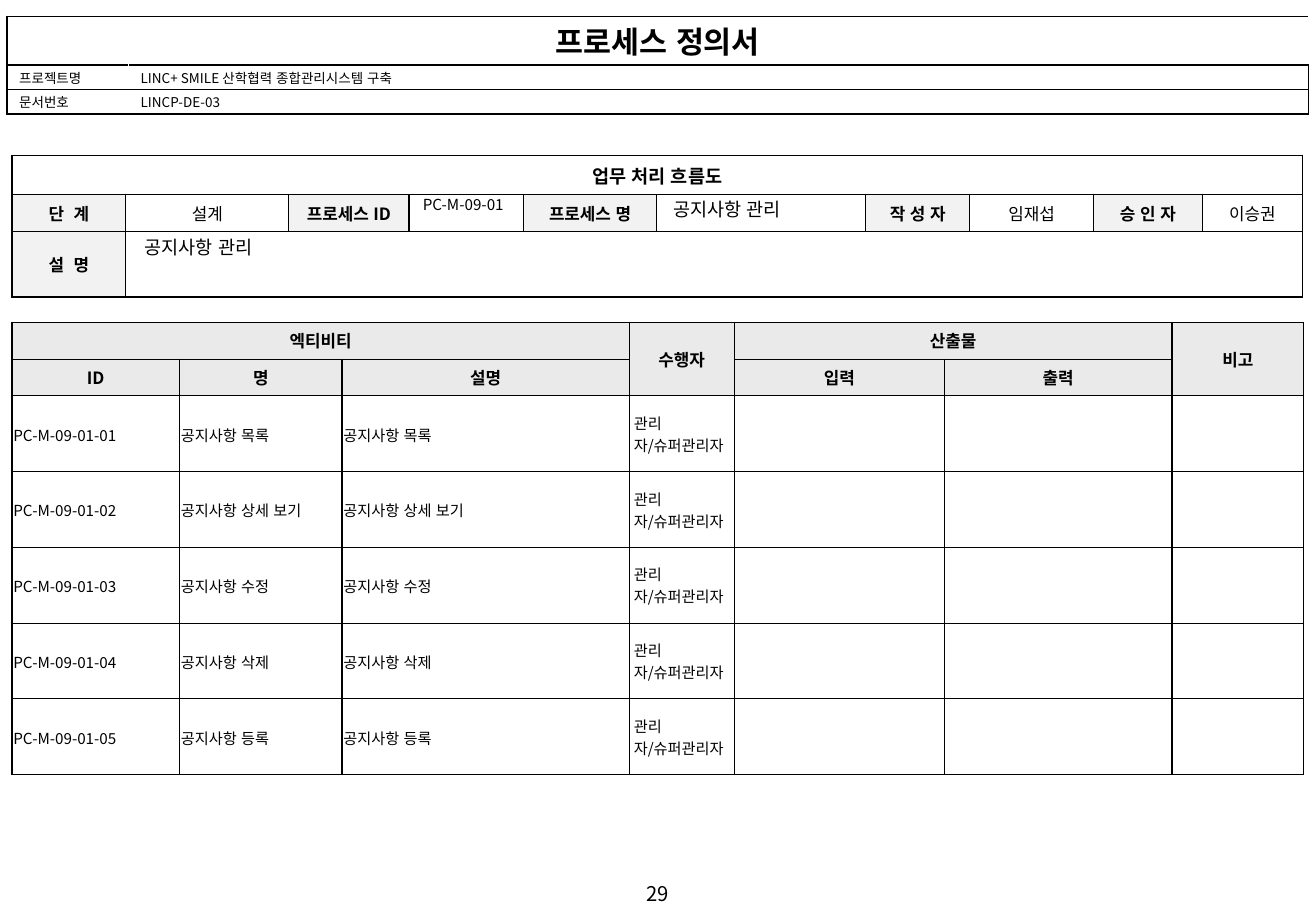
from lxml import etree
from pptx import Presentation
from pptx.dml.color import RGBColor as Rgb
from pptx.enum.text import MSO_ANCHOR as Anchor, PP_ALIGN as Align
from pptx.oxml.ns import qn
from pptx.util import Cm, Pt

FONT = "Noto Sans CJK KR"
COLORS = {"ink": "000000", "paper": "FFFFFF", "label": "F2F2F2", "header": "EAEAEA"}
INSET = (0.25, 0.13, 0.25, 0.13)

STYLES = {
    "title": {"size": 18, "bold": True, "fill": "paper", "inset": (0.25, 0.05, 0.25, 0.05), "anchor": Anchor.TOP},
    "project": {"size": 8, "align": Align.LEFT, "fill": "paper", "inset": (0.25, 0.05, 0.25, 0.05), "anchor": Anchor.TOP},
    "heading": {"size": 11, "bold": True, "fill": "paper"},
    "label": {"size": 10, "bold": True, "fill": "label"},
    "value": {"size": 10, "fill": "paper"},
    "header": {"size": 10, "bold": True, "fill": "header"},
    "activity": {"size": 9, "align": Align.LEFT, "inset": (0.03, 0.03, 0.03, 0)},
    "performer": {"size": 9, "align": Align.LEFT, "inset": (0.1, 0.1, 0.1, 0.1)},
}

ACTIVITIES = ["공지사항 목록", "공지사항 상세 보기", "공지사항 수정", "공지사항 삭제", "공지사항 등록"]

TABLES = [
    {
        "at": (0.15, 0.34),
        "columns": [2.54, 24.66],
        "rows": [1.01, 0.51, 0.51],
        "merges": [(0, 0, 0, 1)],
        "edges": {"L": 1, "R": 1, "T": 1, "B": 1},
        "inner": 1,
        "open_columns": True,
        "texts": [
            ["프로세스 정의서", ""],
            ["프로젝트명", "LINC+ SMILE 산학협력 종합관리시스템 구축"],
            ["문서번호", "LINCP-DE-03"],
        ],
        "styles": [["title"] * 2] + [["project"] * 2] * 2,
    },
    {
        "at": (0.25, 3.25),
        "columns": [2.38, 3.41, 2.51, 2.39, 2.79, 4.37, 2.17, 2.59, 2.27, 2.1],
        "rows": [0.82, 0.76, 1.37],
        "merges": [(0, 0, 0, 9), (2, 1, 2, 9)],
        "edges": {"L": 1, "R": 1, "T": 1, "B": 1},
        "inner": 0.75,
        "texts": [
            ["업무 처리 흐름도"] + [""] * 9,
            ["단  계", "설계", "프로세스 ID", "", "프로세스 명", "", "작 성 자", "임재섭", "승 인 자", "이승권"],
            ["설  명"] + [""] * 9,
        ],
        "styles": [["heading"] * 10, ["label", "value"] * 5, ["label"] + ["value"] * 9],
    },
    {
        "at": (0.25, 6.74),
        "columns": [3.5, 3.4, 6, 2.2, 4.39, 4.76, 2.75],
        "rows": [0.76] * 2 + [1.58] * len(ACTIVITIES),
        "merges": [(0, 0, 0, 2), (0, 3, 1, 3), (0, 4, 0, 5), (0, 6, 1, 6)],
        "edges": {"L": 1},
        "inner": 0.75,
        "texts": [
            ["엑티비티", "", "", "수행자", "산출물", "", "비고"],
            ["ID", "명", "설명", "", "입력", "출력", ""],
        ] + [
            [f"PC-M-09-01-{number:02}", name, name, "관리자/슈퍼관리자", "", "", ""]
            for number, name in enumerate(ACTIVITIES, 1)
        ],
        "styles": [["header"] * 7] * 2 + [["activity"] * 3 + ["performer"] + ["activity"] * 3] * len(ACTIVITIES),
    },
]

BOXES = [
    ("PC-M-09-01", (8.59, 3.96, 2.36, 0.64), {"size": 9, "align": Align.LEFT, "anchor": Anchor.TOP}),
    ("공지사항 관리", (13.82, 4.01, 4.34, 0.74), {"size": 11, "align": Align.LEFT, "anchor": Anchor.TOP}),
    ("공지사항 관리", (2.77, 4.8, 24.21, 0.74), {"size": 11, "align": Align.LEFT, "anchor": Anchor.TOP}),
    ("29", (0, 18.31, 27.51, 0.76), {"size": 12}),
]


def set_insets(holder, inset):
    for side, length in zip(("left", "top", "right", "bottom"), inset):
        setattr(holder, f"margin_{side}", Cm(length))


def write(frame, text, style):
    para = frame.paragraphs[0]
    para.alignment = style.get("align", Align.CENTER)
    if not text:
        etree.SubElement(para._p, qn("a:endParaRPr"), sz=str(style["size"] * 100))
        return
    span = para.add_run()
    span.text = text
    formats = {"name": FONT, "size": Pt(style["size"]), "bold": style.get("bold", False)}
    for key, value in formats.items():
        setattr(span.font, key, value)
    span.font.color.rgb = Rgb.from_string(COLORS["ink"])
    properties = span._r.get_or_add_rPr()
    properties.set("lang", "ko-KR")
    etree.SubElement(properties, qn("a:ea"), typeface=FONT)


def draw_borders(cell, widths, colors):
    properties = cell._tc.get_or_add_tcPr()
    for side in "LRTB":
        line = etree.SubElement(properties, qn(f"a:ln{side}"), w=str(Pt(widths[side])))
        fill = etree.SubElement(line, qn("a:solidFill"))
        etree.SubElement(fill, qn("a:srgbClr"), val=COLORS[colors[side]])


def add_grid(page, data):
    columns, rows = data["columns"], data["rows"]
    place = [Cm(length) for length in (*data["at"], sum(columns), sum(rows))]
    table = page.shapes.add_table(len(rows), len(columns), *place).table
    table.first_row = table.horz_banding = False
    for column, width in zip(table.columns, columns):
        column.width = Cm(width)
    for row, height in zip(table.rows, rows):
        row.height = Cm(height)
    for r, texts in enumerate(data["texts"]):
        for c, text in enumerate(texts):
            cell, style = table.cell(r, c), STYLES[data["styles"][r][c]]
            outer = {"L": c == 0, "R": c == len(columns) - 1, "T": r == 0, "B": r == len(rows) - 1}
            widths = {side: data["edges"].get(side, data["inner"]) if edge else data["inner"]
                      for side, edge in outer.items()}
            colors = {side: "paper" if data.get("open_columns") and side in "LR" and not edge else "ink"
                      for side, edge in outer.items()}
            draw_borders(cell, widths, colors)
            if "fill" in style:
                cell.fill.solid()
                cell.fill.fore_color.rgb = Rgb.from_string(COLORS[style["fill"]])
            else:
                cell.fill.background()
            set_insets(cell, style.get("inset", INSET))
            cell.vertical_anchor = style.get("anchor", Anchor.MIDDLE)
            write(cell.text_frame, text, style)
    for top, left, bottom, right in data["merges"]:
        table.cell(top, left).merge(table.cell(bottom, right))


def add_label(page, text, place, style):
    box = page.shapes.add_textbox(*[Cm(length) for length in place])
    frame = box.text_frame
    frame.word_wrap = True
    frame.vertical_anchor = style.get("anchor", Anchor.MIDDLE)
    set_insets(frame, INSET)
    write(frame, text, style)


def main():
    deck = Presentation()
    deck.slide_width, deck.slide_height = Cm(27.51), Cm(19.05)
    page = deck.slides.add_slide(deck.slide_layouts[6])
    for data in TABLES:
        add_grid(page, data)
    for label in BOXES:
        add_label(page, *label)
    deck.save("out.pptx")


if __name__ == "__main__":
    main()
